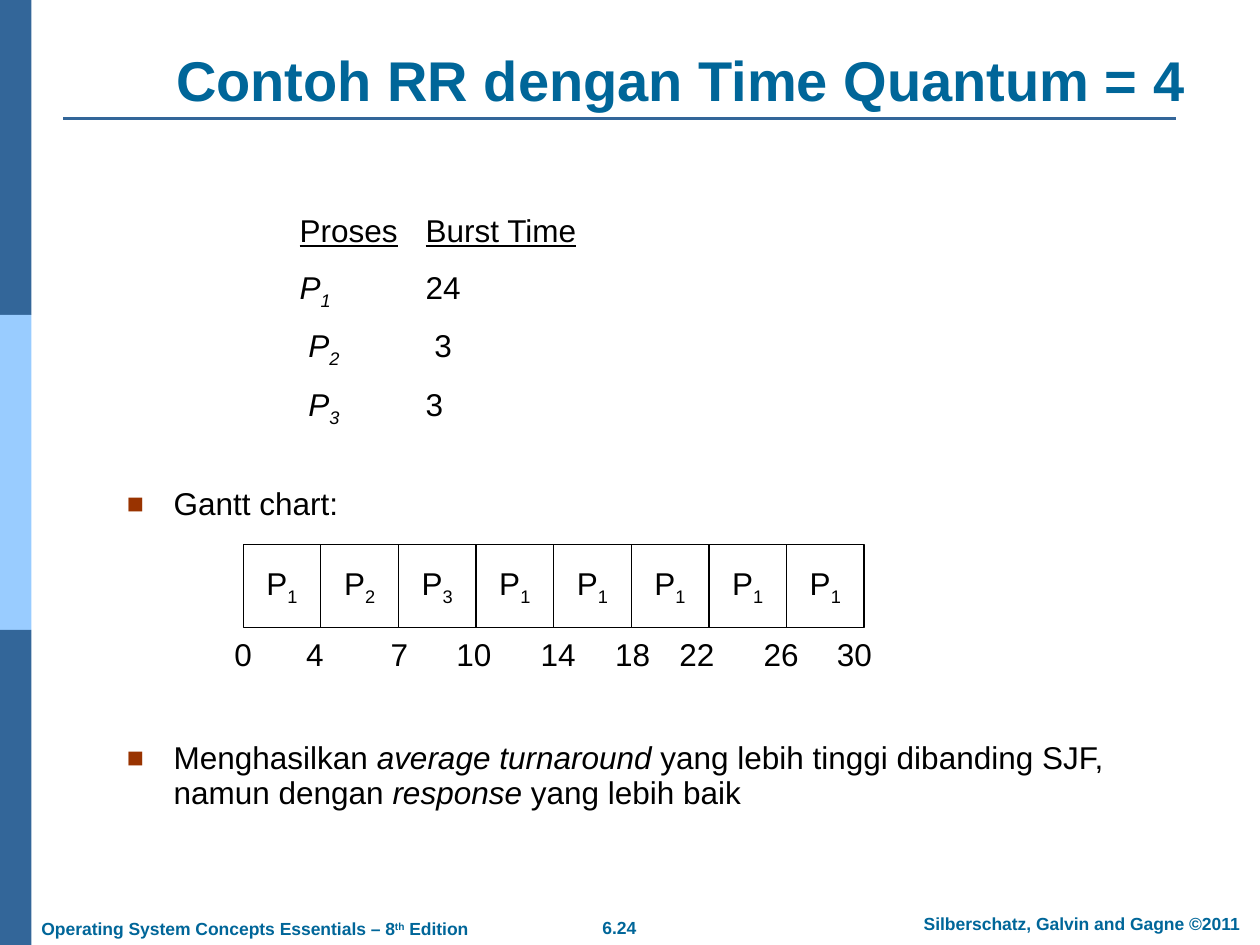
"""Build the round-robin scheduling slide with its burst times and Gantt chart."""
import pptx
import pptx.util
from lxml import etree
from pptx.dml.color import RGBColor
from pptx.enum.shapes import MSO_CONNECTOR, MSO_SHAPE
from pptx.enum.text import MSO_ANCHOR, PP_ALIGN
from pptx.oxml.ns import qn
from pptx.util import Inches, Pt

NAVY = RGBColor(0x33, 0x66, 0x99)
SKY = RGBColor(0x99, 0xCC, 0xFF)
TEAL = RGBColor(0x00, 0x66, 0x99)
RUST = RGBColor(0x99, 0x33, 0x00)
BLACK = RGBColor(0, 0, 0)
WHITE = RGBColor(0xFF, 0xFF, 0xFF)

TITLE = "Contoh RR dengan Time Quantum = 4"
BURST_TIMES = [
    [("\t", ""), ("Proses", "u"), ("\t", ""), ("Burst Time", "u")],
    [("\t", ""), ("P", "i"), ("1", "i-"), ("\t24", "")],
    [("\t ", ""), ("P", "i"), ("2", "i-"), ("\t 3", "")],
    [("\t ", ""), ("P", "i"), ("3", "i-"), ("\t3", "")],
]
BULLETS = [
    (35.4, [("Gantt chart:", "")]),
    (124.6, [("Menghasilkan ", ""), ("average turnaround", "i"),
             (" yang lebih tinggi dibanding SJF, namun dengan ", ""),
             ("response", "i"), (" yang lebih baik", "")]),
]
GANTT = ["1", "2", "3", "1", "1", "1", "1", "1"]
TIMES = [("0", 1.93), ("4", 2.5), ("7", 3.17), ("10", 3.76), ("14", 4.43),
         ("18", 5.02), ("22", 5.53), ("26", 6.2), ("30", 6.78)]
FOOTERS = [
    ((4.42, 7.23, 0.99, 0.27), PP_ALIGN.CENTER, [("6.24", "b")]),
    ((7.1, 7.2, 2.97, 0.27), PP_ALIGN.CENTER,
     [("Silberschatz, Galvin and Gagne ©2011", "b")]),
    ((0.23, 7.24, 3.59, 0.27), PP_ALIGN.LEFT,
     [("Operating System Concepts Essentials – 8", "b"), ("th", "b+"), (" Edition", "b")]),
]
BASELINES = {"-": "-25000", "+": "30000"}
SIDEBAR = [NAVY, SKY, NAVY]
GANTT_LEFT, GANTT_TOP, SLOT_WIDTH, SLOT_HEIGHT = 1.93, 4.32, 0.616, 0.66
ROW_SPACE, LINE_SPACING = 10.4, 0.94


def write(paragraph, runs, size=18, color=BLACK, align=PP_ALIGN.LEFT):
    paragraph.alignment = align
    for text, style in runs:
        run = paragraph.add_run()
        run.text = text
        font = run.font
        font.name, font.size, font.color.rgb = "Arial", Pt(size), color
        font.bold, font.italic, font.underline = "b" in style, "i" in style, "u" in style
        for mark, offset in BASELINES.items():
            if mark in style:
                font._element.set("baseline", offset)


def add_label(slide, box, runs, anchor=MSO_ANCHOR.TOP, wrap=True, **look):
    frame = slide.shapes.add_textbox(*map(Inches, box)).text_frame
    frame.word_wrap, frame.vertical_anchor = wrap, anchor
    write(frame.paragraphs[0], runs, **look)
    return frame


def add_block(slide, box, fill):
    block = slide.shapes.add_shape(MSO_SHAPE.RECTANGLE, *map(Inches, box))
    block.shadow.inherit = False
    block.fill.solid()
    block.fill.fore_color.rgb = fill
    block.line.fill.background()
    return block


def add_tabs(paragraph, stops):
    tabs = etree.SubElement(paragraph._p.get_or_add_pPr(), qn("a:tabLst"))
    for stop in stops:
        etree.SubElement(tabs, qn("a:tab"), pos=str(Inches(stop)), algn="l")


def add_bullet(paragraph):
    properties = paragraph._p.get_or_add_pPr()
    properties.set("marL", str(Inches(0.38)))
    properties.set("indent", str(Inches(-0.37)))
    color = etree.SubElement(properties, qn("a:buClr"))
    etree.SubElement(color, qn("a:srgbClr"), val=str(RUST))
    etree.SubElement(properties, qn("a:buSzPct"), val="90000")
    etree.SubElement(properties, qn("a:buFont"), typeface="Arial")
    etree.SubElement(properties, qn("a:buChar"), char="■")


def add_frame(slide):
    for index, fill in enumerate(SIDEBAR):
        add_block(slide, (0, index * 2.5, 0.25, 2.5), fill)
    rule = slide.shapes.add_connector(
        MSO_CONNECTOR.STRAIGHT, *map(Inches, (0.5, 0.94, 9.33, 0.94)))
    rule.line.color.rgb, rule.line.width = NAVY, Pt(1.5)
    etree.SubElement(rule._element.spPr, qn("a:effectLst"))
    for box, align, runs in FOOTERS:
        add_label(slide, box, runs, size=10, color=TEAL, align=align)
    add_label(slide, (1, 0.02, 8.81, 0.92), [(TITLE, "b")], MSO_ANCHOR.BOTTOM,
              size=32, color=TEAL, align=PP_ALIGN.CENTER)


def add_body(slide):
    frame = add_label(slide, (0.9, 1.65, 8.04, 4.9), [])
    for index, runs in enumerate(BURST_TIMES):
        row = frame.add_paragraph() if index else frame.paragraphs[0]
        row.line_spacing = LINE_SPACING
        row.space_before = Pt(ROW_SPACE if index else 0)
        add_tabs(row, (1.38, 2.38))
        write(row, runs)
    for space, runs in BULLETS:
        point = frame.add_paragraph()
        point.line_spacing, point.space_before = LINE_SPACING, Pt(space)
        add_bullet(point)
        write(point, runs)


def add_gantt(slide):
    for index, process in enumerate(GANTT):
        left = GANTT_LEFT + index * SLOT_WIDTH
        slot = add_block(slide, (left, GANTT_TOP, SLOT_WIDTH, SLOT_HEIGHT), WHITE)
        slot.line.color.rgb, slot.line.width = BLACK, Pt(0.75)
        slot.text_frame.word_wrap = False
        slot.text_frame.vertical_anchor = MSO_ANCHOR.MIDDLE
        write(slot.text_frame.paragraphs[0], [("P", ""), (process, "-")],
              align=PP_ALIGN.CENTER)
    for time, center in TIMES:
        width = 0.2 + 0.14 * len(time)
        add_label(slide, (center - width / 2, 4.99, width, 0.4), [(time, "")],
                  MSO_ANCHOR.MIDDLE, wrap=False, align=PP_ALIGN.CENTER)


def main():
    deck = pptx.Presentation()
    deck.slide_width, deck.slide_height = Inches(10), Inches(7.5)
    slide = deck.slides.add_slide(deck.slide_layouts[6])
    add_frame(slide)
    add_body(slide)
    add_gantt(slide)
    deck.save("out.pptx")


if __name__ == "__main__":
    main()
